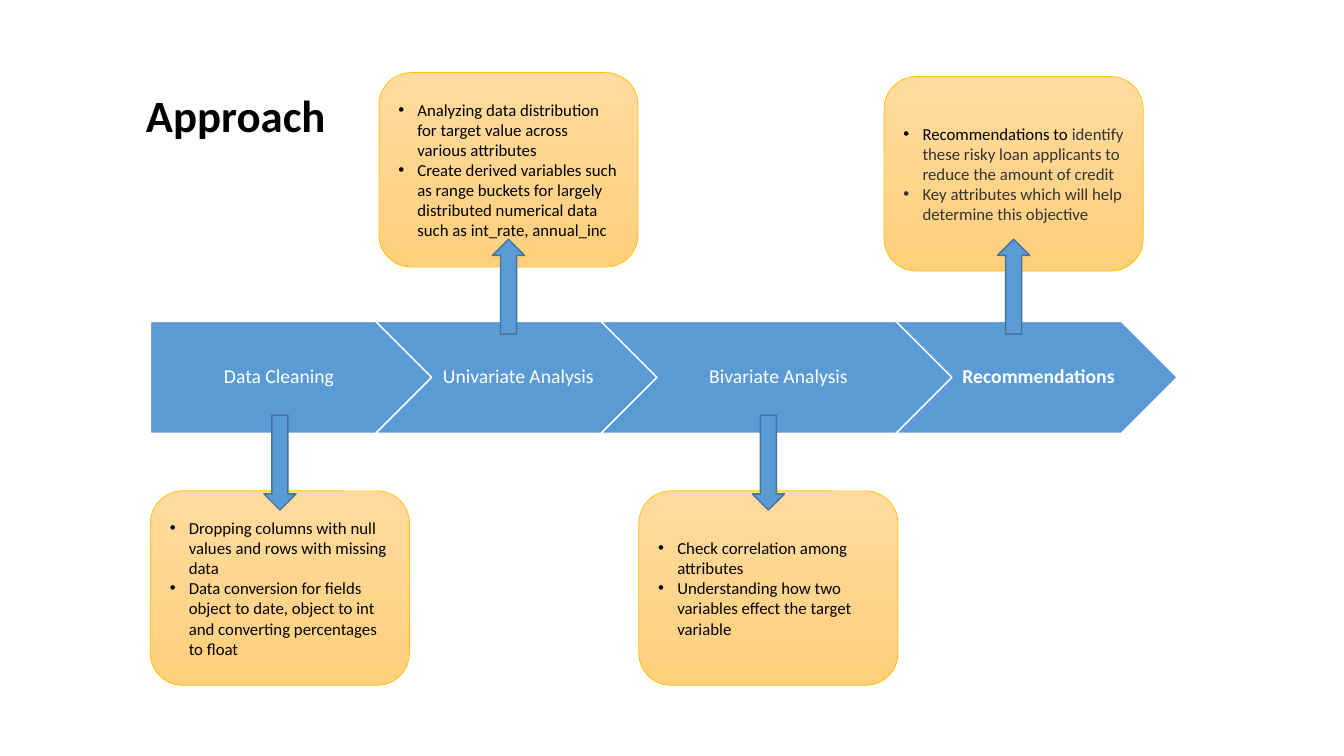
from lxml import etree
from pptx import Presentation
from pptx.dml.color import RGBColor
from pptx.enum.shapes import MSO_SHAPE
from pptx.enum.text import MSO_ANCHOR, PP_ALIGN
from pptx.oxml.ns import qn
from pptx.util import Cm, Pt

PENTAGON, CHEVRON = MSO_SHAPE.PENTAGON, MSO_SHAPE.CHEVRON
ROUNDED, DOWN_ARROW = MSO_SHAPE.ROUNDED_RECTANGLE, MSO_SHAPE.DOWN_ARROW
MIDDLE, CENTER, LEFT = MSO_ANCHOR.MIDDLE, PP_ALIGN.CENTER, PP_ALIGN.LEFT

COLORS = {
    "black": "000000", "gray": "333333", "white": "FFFFFF",
    "blue": "5B9BD5", "dark_blue": "43739E",
    "light_orange": "FFDB9E", "orange": "FFD07C", "gold": "FFC000",
}
FONT = "Calibri"


def rgb(name):
    return RGBColor.from_string(COLORS[name])


def add_outlined(kind, left, top, width, height, line, line_width):
    shape = slide.shapes.add_shape(kind, Cm(left), Cm(top), Cm(width), Cm(height))
    shape.shadow.inherit = False
    shape.fill.solid()
    shape.fill.fore_color.rgb = rgb("blue")
    shape.line.color.rgb = rgb(line)
    shape.line.width = Pt(line_width)
    shape.text_frame.word_wrap = True
    shape.text_frame.vertical_anchor = MIDDLE
    return shape


prs = Presentation()
prs.slide_width, prs.slide_height = Cm(33.87), Cm(19.05)
slide = prs.slides.add_slide(prs.slide_layouts[6])

# Title
title = slide.shapes.add_textbox(Cm(3.43), Cm(1.78), Cm(25.6), Cm(2.39)).text_frame
title.word_wrap = True
title.vertical_anchor = MIDDLE
heading = title.paragraphs[0]
heading.text = "Approach"
heading.line_spacing = 0.9
heading.font.name, heading.font.size, heading.font.bold = FONT, Pt(32), True
heading.font.color.rgb = rgb("black")

# Process band: each step nests into the point of the one before
steps = [
    (PENTAGON, "Data Cleaning", 7.09, False),
    (CHEVRON, "Univariate Analysis", 7.09, False),
    (CHEVRON, "Bivariate Analysis", 8.84, False),
    (CHEVRON, "Recommendations", 7.09, True),
]
BAND_TOP, BAND_HEIGHT, OVERLAP = 8.1, 2.82, 1.41
step_left = 3.79
for kind, name, width, bold in steps:
    step = add_outlined(kind, step_left, BAND_TOP, width, BAND_HEIGHT, "white", 1)
    frame = step.text_frame
    frame.margin_left, frame.margin_right = Cm(0.15), Cm(0.05)
    label = frame.paragraphs[0]
    label.text = name
    label.alignment = CENTER
    label.line_spacing = 0.9
    label.font.name, label.font.size, label.font.bold = FONT, Pt(14), bold
    label.font.color.rgb = rgb("white")
    step_left += width - OVERLAP

# Detail boxes, each with an arrow from its step
details = [
    (3.79, 12.37, [
        [("Dropping columns with null values and rows with missing data", "black")],
        [("Data conversion for fields object to date, object to int and "
          "converting percentages to float", "black")],
    ]),
    (9.55, 1.83, [
        [("Analyzing data distribution for target value across various attributes",
          "black")],
        [("Create derived variables such as range buckets for largely distributed "
          "numerical data such as int_rate, annual_inc", "black")],
    ]),
    (16.1, 12.37, [
        [("Check correlation among attributes", "black")],
        [("Understanding how two variables effect the target variable", "black")],
    ]),
    (22.28, 1.93, [
        [("Recommendations to ", "black"),
         ("identify these risky loan applicants to reduce the amount of credit", "gray")],
        [("Key attributes which will help determine this objective", "gray")],
    ]),
]
BOX_WIDTH, BOX_HEIGHT = 6.53, 4.9
ARROW_WIDTH, ARROW_HEIGHT = 0.81, 2.39
INDENT = Cm(0.48)
for left, top, points in details:
    box = add_outlined(ROUNDED, left, top, BOX_WIDTH, BOX_HEIGHT, "gold", 0.5)
    box.fill.gradient()
    box.fill.gradient_angle = 270
    for stop, color in zip(box.fill.gradient_stops, ("light_orange", "orange")):
        stop.color.rgb = rgb(color)

    frame = box.text_frame
    for i, runs in enumerate(points):
        point = frame.add_paragraph() if i else frame.paragraphs[0]
        point.alignment = LEFT
        point.font.name, point.font.size = FONT, Pt(12)
        for text, color in runs:
            run = point.add_run()
            run.text = text
            run.font.color.rgb = rgb(color)
        # Hanging bullet
        props = point._p.get_or_add_pPr()
        props.set("marL", str(INDENT))
        props.set("indent", str(-INDENT))
        bullet_font = etree.Element(qn("a:buFont"), typeface="Arial")
        bullet = etree.Element(qn("a:buChar"), char="•")
        props.insert(0, bullet_font)
        bullet_font.addnext(bullet)

    above = top < BAND_TOP
    arrow = add_outlined(DOWN_ARROW, left + (BOX_WIDTH - ARROW_WIDTH) / 2,
                         6.03 if above else 10.46,
                         ARROW_WIDTH, ARROW_HEIGHT, "dark_blue", 1)
    arrow.rotation = 180 if above else 0

prs.save("out.pptx")
